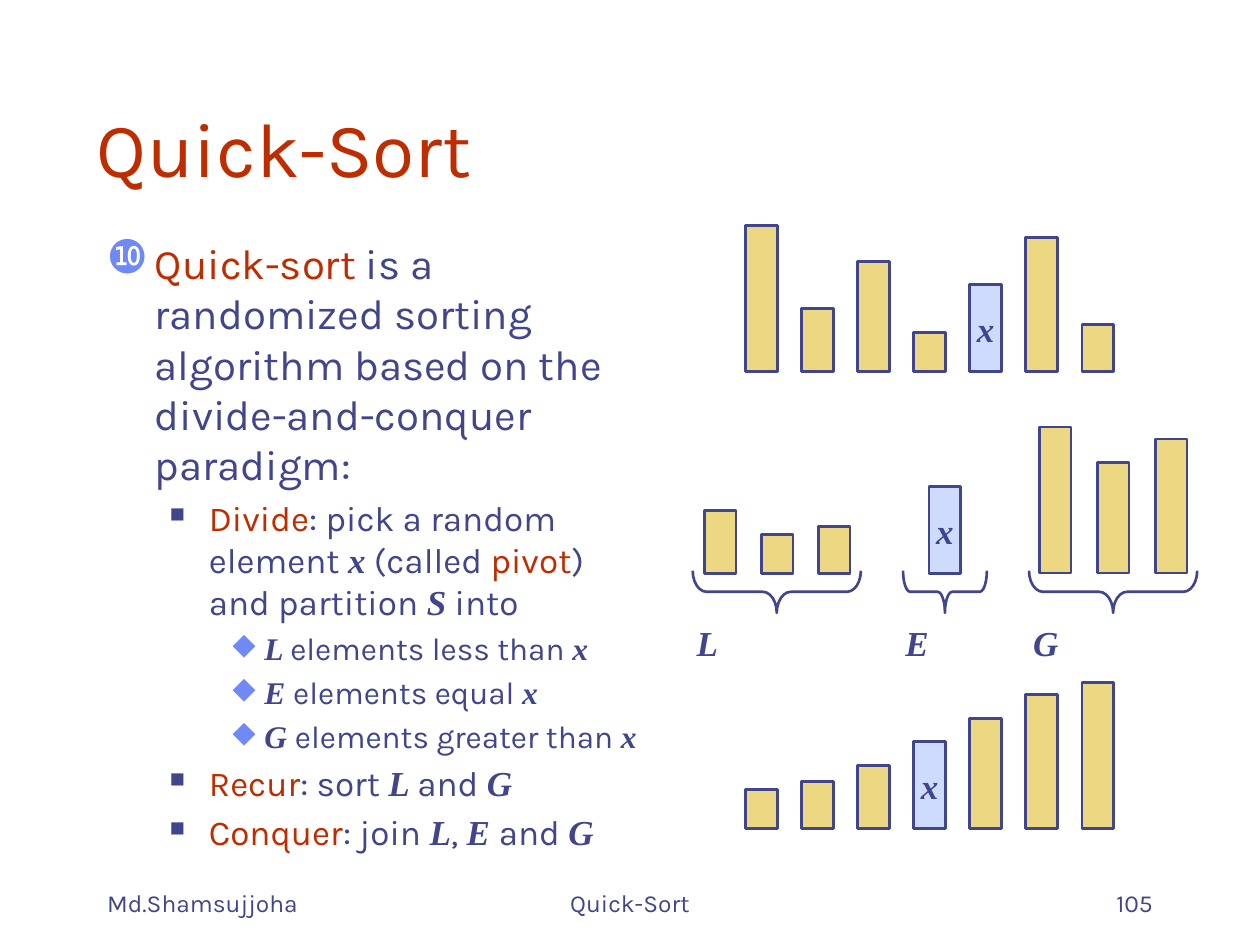
from dataclasses import dataclass
from typing import NamedTuple

from lxml.etree import SubElement
from pptx import Presentation
from pptx.dml.color import RGBColor
from pptx.enum.shapes import MSO_SHAPE as Preset
from pptx.enum.text import MSO_ANCHOR as Anchor, PP_ALIGN as Align
from pptx.oxml.ns import qn
from pptx.util import Cm, Pt

RED = RGBColor(0xBE, 0x2D, 0x00)
NAVY = RGBColor(0x40, 0x45, 0x8C)
BLUE = RGBColor(0x6F, 0x89, 0xF7)
PALE_BLUE = RGBColor(0xCF, 0xDB, 0xFD)
YELLOW = RGBColor(0xEC, 0xD8, 0x82)
SANS, SERIF = "Karla", "Times New Roman"

BAR_WIDTH = 0.64
SORTED_HEIGHTS = [0.79, 0.95, 1.27, 1.75, 2.22, 2.7, 2.94]
PIVOT_RANK = 3
BRACE_CENTER, BRACE_DEPTH = 11.93, 0.85


class Level(NamedTuple):
    size: int
    margin: float
    hanging: float
    bullet: str
    bullet_color: RGBColor
    bullet_percent: int


LEVELS = [
    Level(24, 0.97, 0.97, "❿", BLUE, 110),
    Level(20, 2.06, 0.79, "■", NAVY, 60),
    Level(18, 3.18, 0.64, "◆", BLUE, 95),
]

PLAIN = dict(font=SANS, color=NAVY)
KEY = dict(font=SANS, color=RED)
MATH = dict(font=SERIF, color=NAVY, bold=True, italic=True)

OUTLINE = [
    (0, [("Quick-sort", KEY), (" is a randomized sorting algorithm based on the "
                               "divide-and-conquer paradigm:", PLAIN)]),
    (1, [("Divide", KEY), (": pick a random element ", PLAIN), ("x", MATH),
         (" (called ", PLAIN), ("pivot", KEY), (") and partition ", PLAIN),
         ("S", MATH), (" into", PLAIN)]),
    (2, [("L ", MATH), ("elements less than ", PLAIN), ("x", MATH)]),
    (2, [("E ", MATH), ("elements equal ", PLAIN), ("x", MATH)]),
    (2, [("G ", MATH), ("elements greater than ", PLAIN), ("x", MATH)]),
    (1, [("Recur", KEY), (": sort ", PLAIN), ("L ", MATH), ("and ", PLAIN), ("G", MATH)]),
    (1, [("Conquer", KEY), (": join ", PLAIN), ("L", MATH), (", ", PLAIN),
         ("E ", MATH), ("and ", PLAIN), ("G", MATH)]),
]


@dataclass
class BarRow:
    """Bars on a common base line; ranks index the sorted heights."""
    left: float
    base: float
    step: float
    ranks: list[int]


@dataclass
class Brace:
    label: str
    center: float
    length: float
    label_center: float
    curve: float


BAR_ROWS = [
    BarRow(15.03, 7.49, 1.13, [6, 2, 4, 0, 3, 5, 1]),
    BarRow(14.2, 11.56, 1.15, [2, 0, 1]),
    BarRow(18.73, 11.56, 0, [3]),
    BarRow(20.95, 11.55, 1.17, [6, 4, 5]),
    BarRow(15.03, 16.7, 1.13, list(range(7))),
]
BRACES = [
    Brace("L", 15.66, 3.39, 14.26, 0.33),
    Brace("E", 19.05, 1.69, 18.49, 0.17),
    Brace("G", 22.44, 3.39, 21.08, 0.33),
]


def add_run(paragraph, text: str, *, size: float, font: str = SANS, color: RGBColor = NAVY,
            bold: bool = False, italic: bool = False) -> None:
    run = paragraph.add_run()
    run.text = text
    run.font.size = Pt(size)
    run.font.name = font
    run.font.color.rgb = color
    run.font.bold = bold
    run.font.italic = italic


def add_box(slide, left: float, top: float, width: float, height: float,
            anchor=Anchor.TOP):
    frame = slide.shapes.add_textbox(Cm(left), Cm(top), Cm(width), Cm(height)).text_frame
    frame.word_wrap = True
    frame.vertical_anchor = anchor
    return frame


def add_label(slide, text: str, left: float, top: float, width: float, height: float,
              align=Align.CENTER, anchor=Anchor.MIDDLE, **format) -> None:
    paragraph = add_box(slide, left, top, width, height, anchor).paragraphs[0]
    paragraph.alignment = align
    add_run(paragraph, text, **format)


def set_bullet(paragraph, level: Level) -> None:
    properties = paragraph._p.get_or_add_pPr()
    properties.set("marL", str(Cm(level.margin)))
    properties.set("indent", str(-Cm(level.hanging)))
    color = SubElement(properties, qn("a:buClr"))
    SubElement(color, qn("a:srgbClr"), val=str(level.bullet_color))
    SubElement(properties, qn("a:buSzPct"), val=str(level.bullet_percent * 1000))
    SubElement(properties, qn("a:buChar"), char=level.bullet)


def add_outline(slide) -> None:
    frame = add_box(slide, 1.9, 4.66, 11.43, 12.7)
    for index, (depth, runs) in enumerate(OUTLINE):
        paragraph = frame.add_paragraph() if index else frame.paragraphs[0]
        level = LEVELS[depth]
        paragraph.level = depth
        paragraph.space_before = Pt(0.2 * level.size)
        set_bullet(paragraph, level)
        for text, style in runs:
            add_run(paragraph, text, size=level.size, **style)


def add_outlined_shape(slide, preset, left: float, top: float, width: float, height: float):
    shape = slide.shapes.add_shape(preset, Cm(left), Cm(top), Cm(width), Cm(height))
    shape.shadow.inherit = False
    shape.line.color.rgb = NAVY
    shape.line.width = Pt(1.5)
    return shape


def add_bars(slide, row: BarRow) -> None:
    for index, rank in enumerate(row.ranks):
        height = SORTED_HEIGHTS[rank]
        bar = add_outlined_shape(slide, Preset.RECTANGLE, row.left + index * row.step,
                                 row.base - height, BAR_WIDTH, height)
        bar.fill.solid()
        bar.fill.fore_color.rgb = PALE_BLUE if rank == PIVOT_RANK else YELLOW
        if rank == PIVOT_RANK:
            frame = bar.text_frame
            frame.word_wrap = False
            frame.vertical_anchor = Anchor.MIDDLE
            frame.paragraphs[0].alignment = Align.CENTER
            add_run(frame.paragraphs[0], "x", size=20, **MATH)


def add_brace(slide, brace: Brace) -> None:
    shape = add_outlined_shape(slide, Preset.LEFT_BRACE, brace.center - BRACE_DEPTH / 2,
                               BRACE_CENTER - brace.length / 2, BRACE_DEPTH, brace.length)
    shape.rotation = 270
    shape.adjustments[0] = brace.curve
    shape.fill.background()
    add_label(slide, brace.label, brace.label_center - 0.75, 12.41, 1.5, 1.1, size=20, **MATH)


def main() -> None:
    presentation = Presentation()
    presentation.slide_width, presentation.slide_height = Cm(25.4), Cm(19.05)
    slide = presentation.slides.add_slide(presentation.slide_layouts[5])

    title = slide.shapes.title
    title.left, title.top, title.width, title.height = Cm(1.7), Cm(0.83), Cm(21.59), Cm(3.18)
    title.text_frame.vertical_anchor = Anchor.BOTTOM
    title.text_frame.paragraphs[0].alignment = Align.LEFT
    add_run(title.text_frame.paragraphs[0], "Quick-Sort", size=44, color=RED)

    add_outline(slide)
    for text, left, width, align in [("Md.Shamsujjoha", 1.91, 5.29, Align.LEFT),
                                     ("Quick-Sort", 8.68, 8.04, Align.CENTER),
                                     ("105", 18.2, 5.29, Align.RIGHT)]:
        add_label(slide, text, left, 17.35, width, 1.27, align, Anchor.BOTTOM, size=14)
    for row in BAR_ROWS:
        add_bars(slide, row)
    for brace in BRACES:
        add_brace(slide, brace)
    presentation.save("out.pptx")


if __name__ == "__main__":
    main()
